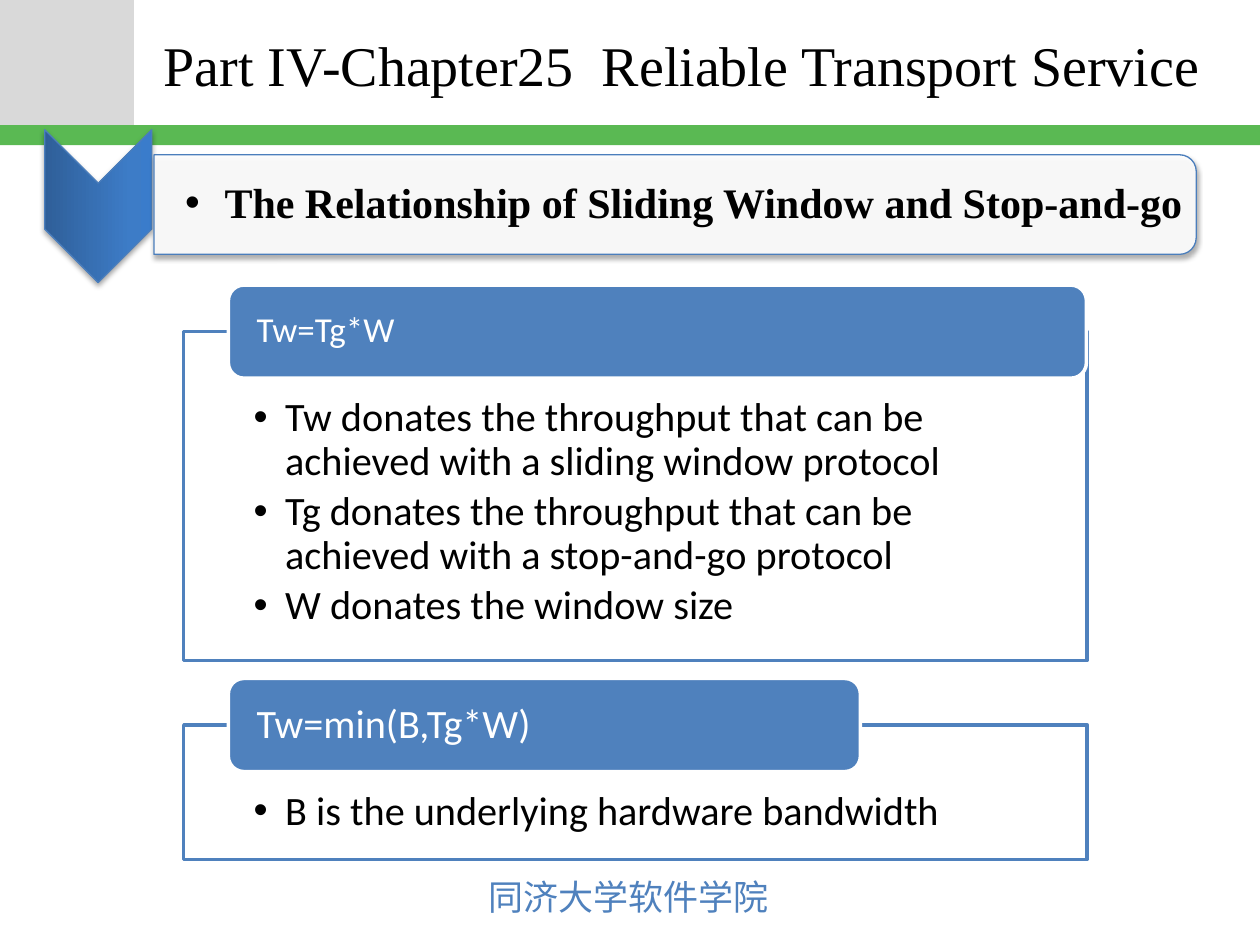
from lxml import etree
from pptx import Presentation
from pptx.dml.color import RGBColor
from pptx.enum.shapes import MSO_SHAPE
from pptx.enum.text import MSO_ANCHOR, PP_ALIGN
from pptx.oxml import parse_xml
from pptx.oxml.ns import nsdecls, qn
from pptx.util import Pt

RECT = MSO_SHAPE.RECTANGLE
ROUND = MSO_SHAPE.ROUNDED_RECTANGLE
CHEVRON = MSO_SHAPE.CHEVRON
ROUND_TOP = MSO_SHAPE.ROUND_2_SAME_RECTANGLE
TOP, MIDDLE = MSO_ANCHOR.TOP, MSO_ANCHOR.MIDDLE
LEFT = PP_ALIGN.LEFT

C = {"grey": "D9D9D9", "green": "5AB953", "blue": "4F81BD", "edge": "4B7EBC",
     "white": "FFFFFF", "black": "000000"}
GRADIENT = [(0, "2F5F99"), (80, "3D7CC7"), (100, "3A7CCB")]
SHADOW = (f'<a:effectLst {nsdecls("a")}><a:outerShdw blurRad="{Pt(3.1)}" dist="{Pt(1.8)}" '
          f'dir="5400000" rotWithShape="0"><a:srgbClr val="{C["black"]}">'
          '<a:alpha val="35000"/></a:srgbClr></a:outerShdw></a:effectLst>')


def add_box(kind, box, fill=None, line=None, width=0.75, alpha=None):
    sp = s.shapes.add_shape(kind, *map(Pt, box))
    sp.shadow.inherit = False
    if fill:
        sp.fill.solid()
        sp.fill.fore_color.rgb = RGBColor.from_string(C[fill])
    if alpha:
        clr = sp.fill._xPr.find(qn("a:solidFill"))[0]
        etree.SubElement(clr, qn("a:alpha")).set("val", str(alpha * 1000))
    if line:
        sp.line.color.rgb = RGBColor.from_string(C[line])
        sp.line.width = Pt(width)
    else:
        sp.line.fill.background()
    return sp


def add_text(sp, lines, size, color, font="Calibri", bold=False, anchor=MIDDLE,
             insets=(7.2, 3.6, 7.2, 3.6), indent=0, spacing=None, after=0):
    tf = sp.text_frame
    tf.word_wrap = True
    tf.vertical_anchor = anchor
    tf.margin_left, tf.margin_top, tf.margin_right, tf.margin_bottom = map(Pt, insets)
    for i, text in enumerate(lines):
        p = tf.paragraphs[0] if i == 0 else tf.add_paragraph()
        p.alignment = LEFT
        p.line_spacing = spacing
        p.space_after = Pt(after)
        if indent:
            pPr = p._p.get_or_add_pPr()
            pPr.set("marL", str(Pt(indent)))
            pPr.set("indent", str(-Pt(indent)))
            etree.SubElement(pPr, qn("a:buFont")).set("typeface", "Arial")
            etree.SubElement(pPr, qn("a:buChar")).set("char", "•")
        r = p.add_run()
        r.text = text
        r.font.size = Pt(size)
        r.font.name = font
        r.font.bold = bold
        r.font.color.rgb = RGBColor.from_string(C[color])
        etree.SubElement(r._r.get_or_add_rPr(), qn("a:ea")).set("typeface", font)


prs = Presentation()
prs.slide_width, prs.slide_height = Pt(720), Pt(540)
s = prs.slides.add_slide(prs.slide_layouts[6])

# Page frame
add_box(RECT, (0, 0, 76.5, 71.5), "grey")
add_box(RECT, (0, 71.5, 720, 11.5), "green")

# Footer and title
footer = s.shapes.add_textbox(Pt(272), Pt(497), Pt(176), Pt(31.5))
add_text(footer, ["同济大学软件学院"], 20, "blue", "Noto Sans CJK JP", anchor=TOP)
footer.text_frame.word_wrap = False
title = s.shapes.add_textbox(Pt(86.5), Pt(1.5), Pt(619), Pt(70.5))
add_text(title, ["Part IV-Chapter25  Reliable Transport Service"], 32, "black",
         "Times New Roman")

# Chevron and banner, both turned a quarter
chevron = add_box(CHEVRON, (12.4, 87.2, 87.4, 61.2), line="edge")
stops = "".join(f'<a:gs pos="{pos * 1000}"><a:srgbClr val="{rgb}"/></a:gs>'
                for pos, rgb in GRADIENT)
chevron._element.spPr.insert(2, parse_xml(
    f'<a:gradFill {nsdecls("a")} rotWithShape="1"><a:gsLst>{stops}</a:gsLst>'
    '<a:lin ang="16200000" scaled="0"/></a:gradFill>'))
banner = add_box(ROUND_TOP, (357.3, -180.9, 56.9, 595.6), "white", "edge", alpha=90)
for sp in (chevron, banner):
    sp.rotation = 90
    spPr = sp._element.spPr
    spPr.replace(spPr.find(qn("a:effectLst")), parse_xml(SHADOW))

heading = s.shapes.add_textbox(Pt(87.8), Pt(91.4), Pt(592.8), Pt(51.2))
add_text(heading, ["The Relationship of Sliding Window and Stop-and-go"], 24, "black",
         "Times New Roman", True, insets=(18, 1.2, 1.2, 1.2), indent=22.5, spacing=0.9)

# Formula panels: top, height, header width, header size, header, notes
panels = [
    (189.4, 188, 490.3, 20, "Tw=Tg*W",
     ["Tw donates the throughput that can be achieved with a sliding window protocol",
      "Tg donates the throughput that can be achieved with a stop-and-go protocol",
      "W donates the window size"]),
    (414.2, 77, 361.2, 23, "Tw=min(B,Tg*W)",
     ["B is the underlying hardware bandwidth"]),
]
for top, height, header_width, size, formula, notes in panels:
    panel = add_box(RECT, (105, top, 516.3, height), "white", "blue", 2, 90)
    add_text(panel, notes, 23, "black", anchor=TOP, insets=(40, 37.5, 40, 13),
             indent=18, spacing=0.9, after=4)
    header = add_box(ROUND, (130.5, top - 26.5, header_width, 53.2), "blue", "white", 2)
    add_text(header, [formula], size, "white", insets=(13.6, 0, 13.6, 0), spacing=0.9)

prs.save("out.pptx")
